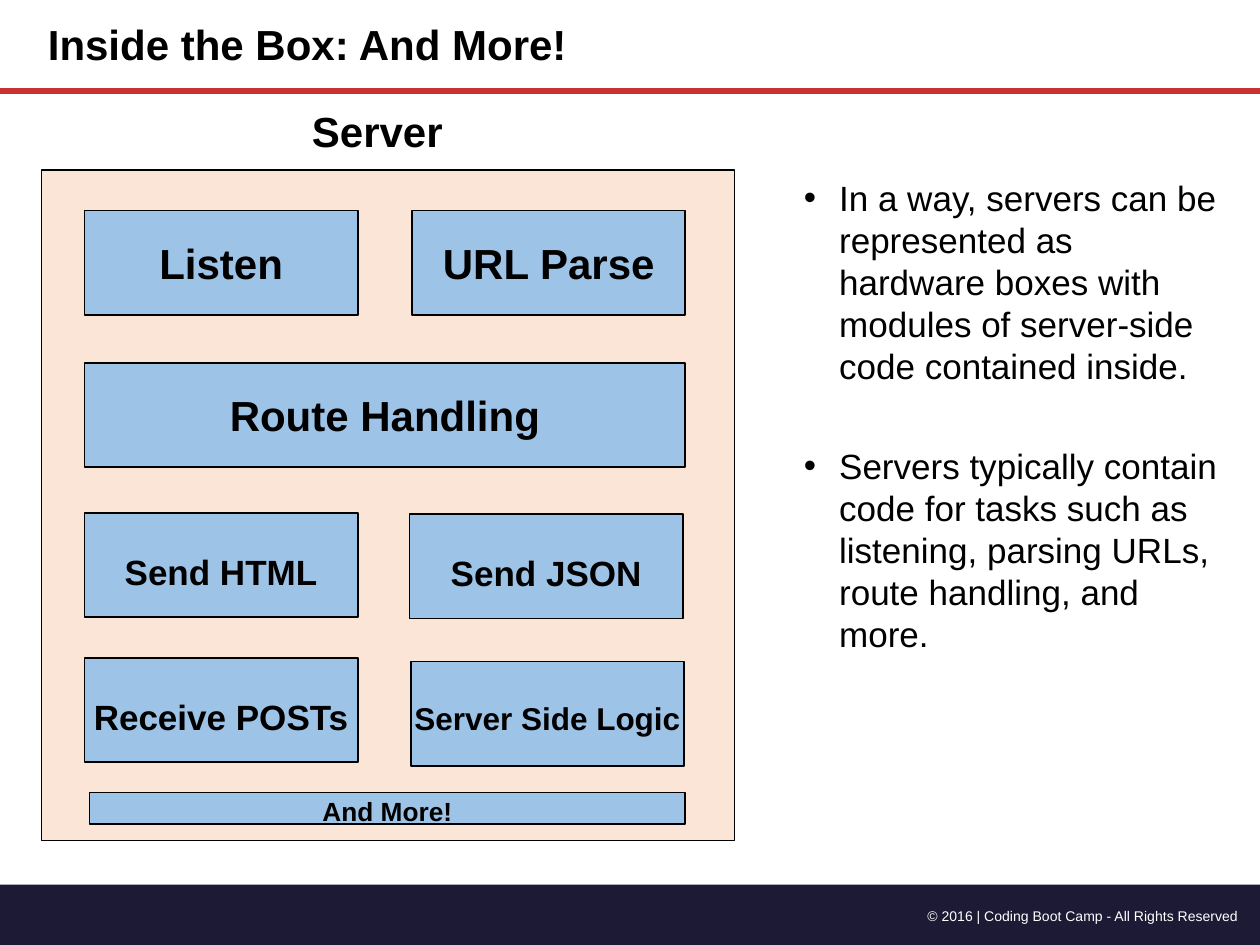
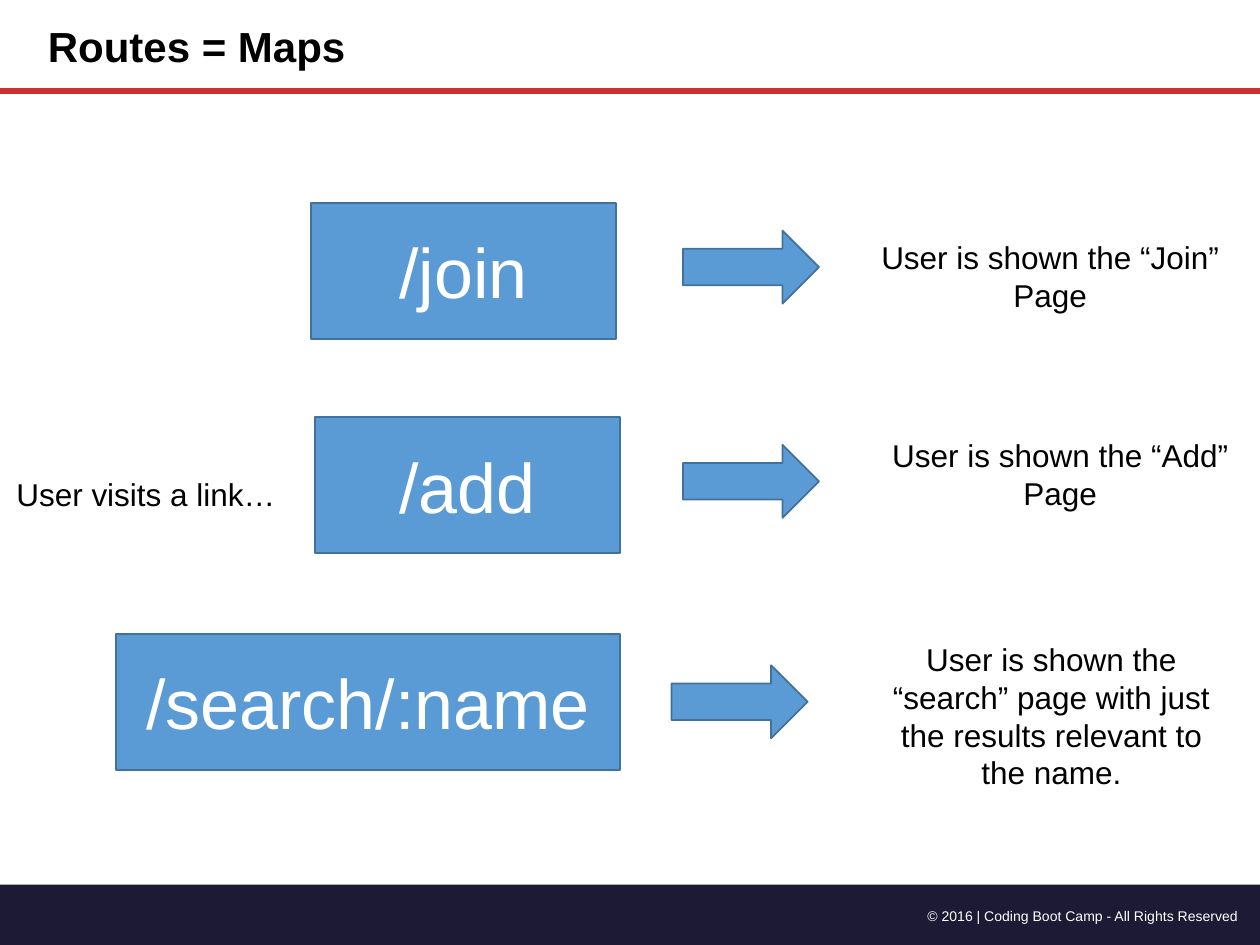
from lxml import etree
from pptx import Presentation
from pptx import util as u
from pptx.dml.color import RGBColor
from pptx.enum import shapes, text
from pptx.oxml import ns

# Shared style
FONT = "Arial"
COLORS = {
    "black": "000000", "white": "FFFFFF", "navy": "1D1A36", "red": "C83232",
    "server": "FBE5D6", "module": "9DC3E6", "route": "5B9BD5", "route_line": "42719B",
}
FOOTER = "© 2016 | Coding Boot Camp - All Rights Reserved"
INSET = 0.05
LEFT, CENTER, RIGHT = text.PP_ALIGN.LEFT, text.PP_ALIGN.CENTER, text.PP_ALIGN.RIGHT
TOP, MIDDLE = text.MSO_ANCHOR.TOP, text.MSO_ANCHOR.MIDDLE

# Slide 1: modules inside the server (label, left, top, width, height, size, drop of the text)
SERVER_TITLE = ("Inside the Box: And More!", (0.33, 0.11, 5.75, 0.48))
SERVER_LABEL = ("Server", (1.13, 0.79, 3.73, 0.48))
SERVER_BOX = (0.33, 1.35, 5.5, 5.32)
HALF, FULL, MODULE_HEIGHT = 2.17, 4.77, 0.83
MODULES = [
    ("Listen", 0.67, 1.67, HALF, MODULE_HEIGHT, 24, 0),
    ("URL Parse", 3.27, 1.67, HALF, MODULE_HEIGHT, 24, 0),
    ("Route Handling", 0.67, 2.88, FULL, MODULE_HEIGHT, 24, 0),
    ("Send HTML", 0.67, 4.07, HALF, MODULE_HEIGHT, 20, 0.05),
    ("Send JSON", 3.25, 4.08, HALF, MODULE_HEIGHT, 20, 0.05),
    ("Receive POSTs", 0.67, 5.22, HALF, MODULE_HEIGHT, 20, 0.05),
    ("Server Side Logic", 3.26, 5.25, HALF, MODULE_HEIGHT, 18, 0.03),
    ("And More!", 0.71, 6.29, 4.73, 0.25, 15, 0.02),
]
NOTES_BOX = (6.33, 1.35, 3.41, 3.75)
NOTES = [
    "In a way, servers can be represented as hardware boxes with modules of "
    "server-side code contained inside.",
    "Servers typically contain code for tasks such as listening, parsing URLs, "
    "route handling, and more.",
]

# Slide 2: each route leads to a page
ROUTES_TITLE = ("Routes = Maps", (0.33, 0, 5.98, 0.72))
VISIT = ("User visits a link…", (0.08, 3.72, 2.83, 0.38))
ROUTE_HEIGHT, ARROW_SIZE = 1.08, (1.08, 0.58)
ROUTES = [
    {"link": "/join", "box": (2.47, 1.61, 2.42), "arrow": (5.42, 1.83),
     "result": "User is shown the “Join” Page", "result_box": (6.92, 1.84, 2.83, 0.68)},
    {"link": "/add", "box": (2.5, 3.31, 2.42), "arrow": (5.42, 3.53),
     "result": "User is shown the “Add” Page", "result_box": (7, 3.41, 2.83, 0.68)},
    {"link": "/search/:name", "box": (0.92, 5.03, 4), "arrow": (5.33, 5.28),
     "result": "User is shown the “search” page with just the results relevant to the name.",
     "result_box": (6.93, 5.03, 2.83, 1.26)},
]


def color(name):
    return RGBColor.from_string(COLORS[name])


def inches(box):
    return [u.Inches(value) for value in box]


def write(shape, lines, size, ink="black", bold=False, align=LEFT, anchor=TOP,
          drop=0, wrap=True):
    """Fill a shape with formatted paragraphs; drop lowers centred text."""
    frame = shape.text_frame
    frame.text = "\n".join(lines)
    frame.word_wrap = wrap
    frame.auto_size = text.MSO_AUTO_SIZE.NONE
    frame.vertical_anchor = anchor
    frame.margin_left = frame.margin_right = frame.margin_bottom = u.Inches(INSET)
    frame.margin_top = u.Inches(INSET + 2 * drop)
    for paragraph in frame.paragraphs:
        paragraph.alignment = align
        for run in paragraph.runs:
            run.font.name = FONT
            run.font.size = u.Pt(size)
            run.font.bold = bold
            run.font.color.rgb = color(ink)
    return frame


def add_text(slide, content, box, size, **style):
    lines = [content] if isinstance(content, str) else content
    return write(slide.shapes.add_textbox(*inches(box)), lines, size, **style)


def add_box(slide, box, fill, line=None, kind=shapes.MSO_SHAPE.RECTANGLE):
    shape = slide.shapes.add_shape(kind, *inches(box))
    shape.shadow.inherit = False
    shape.fill.solid()
    shape.fill.fore_color.rgb = color(fill)
    if line:
        shape.line.color.rgb = color(line)
        shape.line.width = u.Pt(1)
    else:
        shape.line.fill.background()
    return shape


def add_bullet(paragraph):
    properties = paragraph._p.get_or_add_pPr()
    properties.set("marL", str(u.Inches(0.28)))
    properties.set("indent", str(u.Inches(-0.28)))
    etree.SubElement(properties, ns.qn("a:buFont")).set("typeface", FONT)
    etree.SubElement(properties, ns.qn("a:buChar")).set("char", "•")


def add_slide(presentation, title, title_box):
    """Start a slide with the footer band, the red rule and the title."""
    slide = presentation.slides.add_slide(presentation.slide_layouts[5])
    add_box(slide, (0, 7.02, 10, 0.48), "navy")
    add_text(slide, FOOTER, (6.83, 7.15, 3.05, 0.22), 8, ink="white", align=RIGHT)
    rule = slide.shapes.add_connector(shapes.MSO_CONNECTOR.STRAIGHT,
                                      *inches((0, 0.72, 10, 0.72)))
    rule.line.color.rgb = color("red")
    rule.line.width = u.Pt(3.25)
    etree.SubElement(rule._element.spPr, ns.qn("a:effectLst"))
    heading = slide.shapes.title
    heading.left, heading.top, heading.width, heading.height = inches(title_box)
    write(heading, [title], 24, bold=True, anchor=MIDDLE)
    return slide


def build_server_slide(presentation):
    slide = add_slide(presentation, *SERVER_TITLE)
    add_text(slide, *SERVER_LABEL, 24, bold=True, align=CENTER)
    add_box(slide, SERVER_BOX, "server", "black")
    for label, left, top, width, height, size, drop in MODULES:
        module = add_box(slide, (left, top, width, height), "module", "black")
        write(module, [label], size, bold=True, align=CENTER, anchor=MIDDLE,
              drop=drop, wrap=False)

    # Bulleted notes
    notes = add_text(slide, NOTES, NOTES_BOX, 20)
    for paragraph, space in zip(notes.paragraphs, (4, 33)):
        paragraph.space_before = u.Pt(space)
        add_bullet(paragraph)


def build_routes_slide(presentation):
    slide = add_slide(presentation, *ROUTES_TITLE)
    add_text(slide, *VISIT, 18)
    for route in ROUTES:
        link = add_box(slide, (*route["box"], ROUTE_HEIGHT), "route", "route_line")
        write(link, [route["link"]], 40, ink="white", align=CENTER, anchor=MIDDLE)
        add_box(slide, (*route["arrow"], *ARROW_SIZE), "route", "route_line",
                shapes.MSO_SHAPE.RIGHT_ARROW)
        add_text(slide, route["result"], route["result_box"], 18, align=CENTER)


def main():
    presentation = Presentation()
    presentation.slide_width, presentation.slide_height = inches((10, 7.5))
    build_server_slide(presentation)
    build_routes_slide(presentation)
    presentation.save("out.pptx")


if __name__ == "__main__":
    main()
